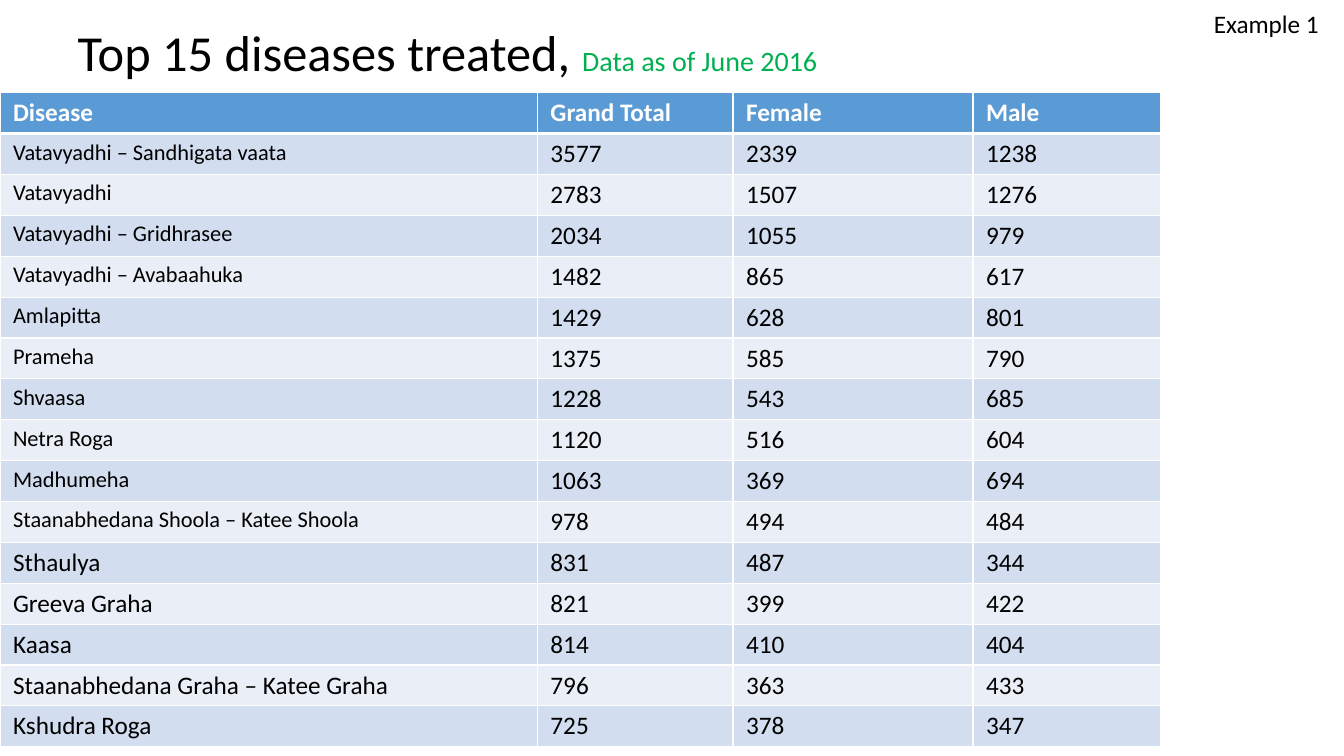
"""Build a slide with a table of the 15 most treated diseases."""
from lxml import etree
from pptx import Presentation
from pptx.dml.color import RGBColor
from pptx.enum.text import MSO_ANCHOR, MSO_AUTO_SIZE, PP_ALIGN
from pptx.oxml.ns import qn
from pptx.util import Inches, Pt

LEFT = PP_ALIGN.LEFT
MIDDLE = MSO_ANCHOR.MIDDLE
NO_AUTOFIT = MSO_AUTO_SIZE.NONE
GROW = MSO_AUTO_SIZE.SHAPE_TO_FIT_TEXT
TITLE_ONLY = 5

FONT = "Calibri"
BLACK, WHITE, GREEN = "000000", "FFFFFF", "00B050"
HEADER_FILL, BAND_FILLS = "5B9BD5", ("D2DEEF", "EAEFF7")

TITLE = [("Top 15 diseases treated, ", 36, BLACK), ("Data as of June 2016", 20, GREEN)]
TAG = "Example 1"
HEADERS = ("Disease", "Grand Total", "Female", "Male")
DISEASES = [
    ("Vatavyadhi – Sandhigata vaata", 3577, 2339, 1238),
    ("Vatavyadhi", 2783, 1507, 1276),
    ("Vatavyadhi – Gridhrasee", 2034, 1055, 979),
    ("Vatavyadhi – Avabaahuka", 1482, 865, 617),
    ("Amlapitta", 1429, 628, 801),
    ("Prameha", 1375, 585, 790),
    ("Shvaasa", 1228, 543, 685),
    ("Netra Roga", 1120, 516, 604),
    ("Madhumeha", 1063, 369, 694),
    ("Staanabhedana Shoola – Katee Shoola", 978, 494, 484),
    ("Sthaulya", 831, 487, 344),
    ("Greeva Graha", 821, 399, 422),
    ("Kaasa", 814, 410, 404),
    ("Staanabhedana Graha – Katee Graha", 796, 363, 433),
    ("Kshudra Roga", 725, 378, 347),
]
SMALL_NAME_ROWS = 10

SLIDE_WIDTH, SLIDE_HEIGHT = 13.33, 7.5
TITLE_BOX = (0.67, -0.08, 12, 1.25)
TAG_BOX = (11.94, 0.03, 1.38, 0.4)
TABLE_TOP, TABLE_HEIGHT = 0.92, 6.49
COLUMN_WIDTHS = (5.33, 1.94, 2.38, 1.86)
CELL_MARGIN_X, CELL_MARGIN_Y = 0.13, 0.05


def color(value):
    """Turn a hex string into a colour."""
    return RGBColor.from_string(value)


def add_text(paragraph, text, size=18, hex_color=BLACK, bold=False):
    """Append a formatted run to a paragraph."""
    run = paragraph.add_run()
    run.text = text
    run.font.name = FONT
    run.font.size = Pt(size)
    run.font.bold = bold
    run.font.color.rgb = color(hex_color)


def set_border(cell, side, width):
    """Draw one white border of a cell."""
    properties = cell._tc.get_or_add_tcPr()
    line = etree.SubElement(properties, qn(f"a:ln{side}"), w=str(Pt(width)))
    fill = etree.SubElement(line, qn("a:solidFill"))
    etree.SubElement(fill, qn("a:srgbClr"), val=WHITE)


def add_title(slide):
    """Place and fill the title."""
    title = slide.shapes.title
    title.left, title.top, title.width, title.height = map(Inches, TITLE_BOX)
    frame = title.text_frame
    frame.word_wrap = True
    frame.auto_size = NO_AUTOFIT
    frame.vertical_anchor = MIDDLE
    paragraph = frame.paragraphs[0]
    paragraph.alignment = LEFT
    paragraph.line_spacing = 0.9
    for text, size, hex_color in TITLE:
        add_text(paragraph, text, size=size, hex_color=hex_color)


def add_disease_table(slide):
    """Add the table with a header and banded rows."""
    rows = [HEADERS] + DISEASES
    frame = slide.shapes.add_table(
        len(rows), len(HEADERS), 0, Inches(TABLE_TOP),
        Inches(sum(COLUMN_WIDTHS)), Inches(TABLE_HEIGHT))
    table = frame.table
    for column, width in zip(table.columns, COLUMN_WIDTHS):
        column.width = Inches(width)
    for row_index, values in enumerate(rows):
        is_header = row_index == 0
        table.rows[row_index].height = Inches(TABLE_HEIGHT / len(rows))
        row_fill = HEADER_FILL if is_header else BAND_FILLS[(row_index - 1) % 2]
        for column_index, value in enumerate(values):
            cell = table.cell(row_index, column_index)
            cell.margin_left = cell.margin_right = Inches(CELL_MARGIN_X)
            cell.margin_top = cell.margin_bottom = Inches(CELL_MARGIN_Y)
            set_border(cell, "L", 1)
            set_border(cell, "R", 1)
            set_border(cell, "T", 3 if row_index == 1 else 1)
            set_border(cell, "B", 3 if is_header else 1)
            cell.fill.solid()
            cell.fill.fore_color.rgb = color(row_fill)
            is_small = column_index == 0 and 1 <= row_index <= SMALL_NAME_ROWS
            add_text(cell.text_frame.paragraphs[0], str(value),
                     size=16 if is_small else 18,
                     hex_color=WHITE if is_header else BLACK, bold=is_header)


def add_tag(slide):
    """Add the label in the top right corner."""
    frame = slide.shapes.add_textbox(*map(Inches, TAG_BOX)).text_frame
    frame.word_wrap = True
    frame.auto_size = GROW
    add_text(frame.paragraphs[0], TAG)


def main():
    """Create and save the presentation."""
    presentation = Presentation()
    presentation.slide_width = Inches(SLIDE_WIDTH)
    presentation.slide_height = Inches(SLIDE_HEIGHT)
    slide = presentation.slides.add_slide(presentation.slide_layouts[TITLE_ONLY])
    add_title(slide)
    add_disease_table(slide)
    add_tag(slide)
    presentation.save("out.pptx")


if __name__ == "__main__":
    main()
